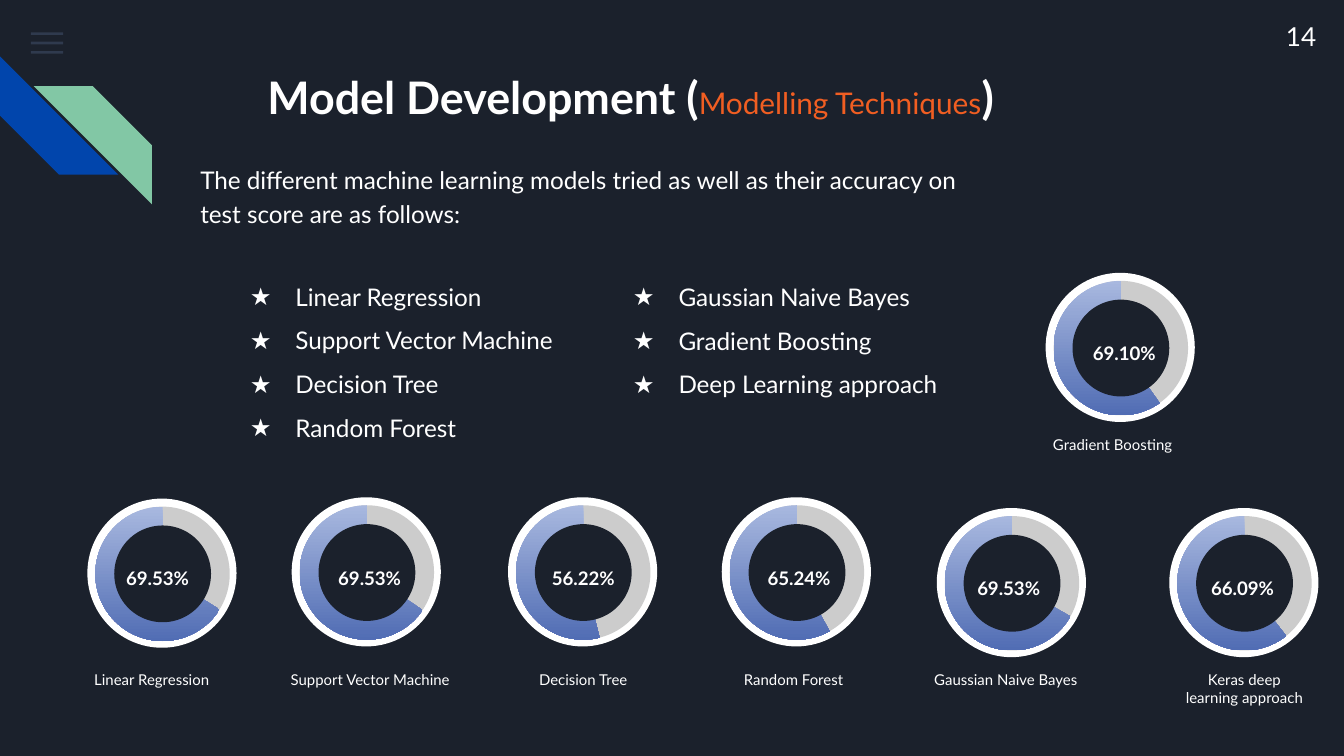
from dataclasses import dataclass

from lxml.etree import SubElement
from pptx import Presentation
from pptx.dml.color import RGBColor
from pptx.enum.shapes import MSO_SHAPE as Preset
from pptx.enum.text import MSO_ANCHOR as Anchor, MSO_AUTO_SIZE as AutoSize, PP_ALIGN as Align
from pptx.oxml.ns import qn
from pptx.util import Inches, Pt

FONT = "Lato"
COLORS = {
    "background": "1B212C",
    "text": "FFFFFF",
    "accent": "F15E22",
    "menu": "55688B",
    "blue": "0145AC",
    "green": "82C7A5",
    "track": "CCCCCC",
    "arc_top": "A8B8DF",
    "arc_bottom": "516DB4",
}


@dataclass
class Gauge:
    label: str
    value: str
    left: float
    top: float
    start_angle: float
    value_left: float
    value_width: float
    label_box: tuple
    value_align: Align = Align.CENTER
    value_top: float = 0.39


GAUGES = [
    Gauge("Linear Regression", "69.53%", 0.65, 3.71, 32.08, 0.19, 0.72,
          (0.55, 4.89, 1.16, 0.48), Align.LEFT, 0.38),
    Gauge("Support Vector Machine", "69.53%", 2.17, 3.7, 34.06, 0.22, 0.72,
          (1.77, 4.89, 1.97, 0.43)),
    Gauge("Decision Tree", "56.22%", 3.78, 3.7, 75.96, 0.2, 0.72,
          (3.68, 4.89, 1.32, 0.48)),
    Gauge("Random Forest", "65.24%", 5.37, 3.7, 60.9, 0.19, 0.77,
          (5.19, 4.89, 1.43, 0.48)),
    Gauge("Gaussian Naive Bayes", "69.53%", 6.97, 3.78, 29.57, 0.15, 0.77,
          (6.77, 4.89, 1.43, 0.48)),
    Gauge("Keras deep learning approach", "66.09%", 8.7, 3.78, 51.57, 0.16, 0.77,
          (8.68, 4.89, 1.16, 0.48)),
    Gauge("Gradient Boosting", "69.10%", 7.78, 2.03, 54.83, 0.2, 0.77,
          (7.7, 3.14, 1.16, 0.48)),
]


def color(name):
    return RGBColor.from_string(COLORS[name])


def add_preset(slide, preset, left, top, width, height, fill):
    shape = slide.shapes.add_shape(
        preset, Inches(left), Inches(top), Inches(width), Inches(height))
    shape.shadow.inherit = False
    shape.line.fill.background()
    shape.fill.solid()
    shape.fill.fore_color.rgb = color(fill)
    return shape


def format_run(run, size, bold=False, fill="text"):
    run.font.name = FONT
    run.font.size = Pt(size)
    run.font.bold = bold
    run.font.color.rgb = color(fill)


def prepare_frame(text_frame):
    text_frame.word_wrap = True
    text_frame.auto_size = AutoSize.NONE
    text_frame.vertical_anchor = Anchor.TOP
    text_frame.margin_left = text_frame.margin_right = Inches(0.1)
    text_frame.margin_top = text_frame.margin_bottom = Inches(0.1)


def place(shape, left, top, width, height):
    shape.left, shape.top = Inches(left), Inches(top)
    shape.width, shape.height = Inches(width), Inches(height)


def set_indent(paragraph, margin, indent=0):
    properties = paragraph._p.get_or_add_pPr()
    properties.set("marL", str(Inches(margin)))
    properties.set("indent", str(Inches(indent)))
    return properties


def add_text(slide, box, lines, size, bold=False, align=Align.LEFT, spacing=1.0):
    text_box = slide.shapes.add_textbox(*[Inches(length) for length in box])
    text_frame = text_box.text_frame
    prepare_frame(text_frame)
    text_frame.text = "\n".join(lines)
    for paragraph in text_frame.paragraphs:
        paragraph.alignment = align
        paragraph.line_spacing = spacing
        for run in paragraph.runs:
            format_run(run, size, bold)
    return text_frame


def add_corner(slide, left, top):
    for row in range(3):
        bar = add_preset(slide, Preset.RECTANGLE, left + 0.23, top + 0.24 + 0.07 * row,
                         0.24, 0.02, "menu")
        bar_color = bar._element.spPr.find(qn("a:solidFill"))[0]
        SubElement(bar_color, qn("a:alpha")).set("val", "36000")
    blue = add_preset(slide, Preset.DIAGONAL_STRIPE, left, top + 0.42, 0.88, 0.88, "blue")
    blue.rotation = 270
    green = add_preset(slide, Preset.DIAGONAL_STRIPE, left + 0.25, top + 0.64,
                       0.88, 0.88, "green")
    green._element.spPr.find(qn("a:xfrm")).set("flipH", "1")


def fill_title(title, *box):
    place(title, *box)
    prepare_frame(title.text_frame)
    paragraph = title.text_frame.paragraphs[0]
    paragraph.alignment = Align.LEFT
    set_indent(paragraph, 0.5)
    for text, size, bold, fill in [
        ("Model Development (", 24, True, "text"),
        ("Modelling Techniques", 16, False, "accent"),
        (")", 24, True, "text"),
    ]:
        run = paragraph.add_run()
        run.text = text
        format_run(run, size, bold, fill)


def fill_intro(body, *box):
    place(body, *box)
    prepare_frame(body.text_frame)
    body.text_frame.text = ("The different machine learning models tried as well as "
                            "their accuracy on test score are as follows:")
    paragraph = body.text_frame.paragraphs[0]
    paragraph.line_spacing = 1.15
    paragraph.space_before = Pt(0)
    SubElement(set_indent(paragraph, 0), qn("a:buNone"))
    format_run(paragraph.runs[0], 13)


def add_star_list(slide, box, items):
    text_frame = add_text(slide, box, items, 13, spacing=1.5)
    for paragraph in text_frame.paragraphs:
        properties = set_indent(paragraph, 0.5, -0.34)
        bullet_color = SubElement(properties, qn("a:buClr"))
        SubElement(bullet_color, qn("a:srgbClr")).set("val", COLORS["text"])
        SubElement(properties, qn("a:buFont")).set("typeface", FONT)
        SubElement(properties, qn("a:buChar")).set("char", "★")


def add_gauge(slide, gauge):
    def add_disc(preset, inset, size, fill):
        return add_preset(slide, preset, gauge.left + inset, gauge.top + inset,
                          size, size, fill)

    add_disc(Preset.OVAL, 0, 1.11, "text")
    add_disc(Preset.OVAL, 0.06, 1, "track")
    arc = add_disc(Preset.PIE, 0.06, 1, "arc_top")
    arc.adjustments[0] = gauge.start_angle * 0.6
    arc.adjustments[1] = 270 * 0.6
    arc.fill.gradient()
    arc.fill.gradient_angle = 270
    for stop, name in zip(arc.fill.gradient_stops, ("arc_top", "arc_bottom")):
        stop.color.rgb = color(name)
    add_disc(Preset.OVAL, 0.2, 0.72, "background")

    value_box = (gauge.left + gauge.value_left, gauge.top + gauge.value_top,
                 gauge.value_width, 0.3)
    add_text(slide, value_box, [gauge.value], 10, True, gauge.value_align, 1.15)
    add_text(slide, gauge.label_box, [gauge.label], 8, align=Align.CENTER)


def main():
    presentation = Presentation()
    presentation.slide_width = Inches(10)
    presentation.slide_height = Inches(10) * 9 // 16
    slide = presentation.slides.add_slide(presentation.slide_layouts[1])
    slide.background.fill.solid()
    slide.background.fill.fore_color.rgb = color("background")

    add_corner(slide, 0, 0)
    fill_title(slide.shapes.title, 1.39, 0.42, 7.21, 0.82)
    fill_intro(slide.placeholders[1], 1.39, 1.1, 6.13, 0.66)
    add_star_list(slide, (1.6, 1.89, 2.65, 1.54),
                  ["Linear Regression", "Support Vector Machine",
                   "Decision Tree", "Random Forest"])
    add_star_list(slide, (4.45, 1.89, 2.72, 1.32),
                  ["Gaussian Naive Bayes", "Gradient Boosting", "Deep Learning approach"])
    for gauge in GAUGES:
        add_gauge(slide, gauge)
    add_text(slide, (9.47, 0.05, 0.53, 0.54), ["14"], 14)
    presentation.save("out.pptx")


if __name__ == "__main__":
    main()
